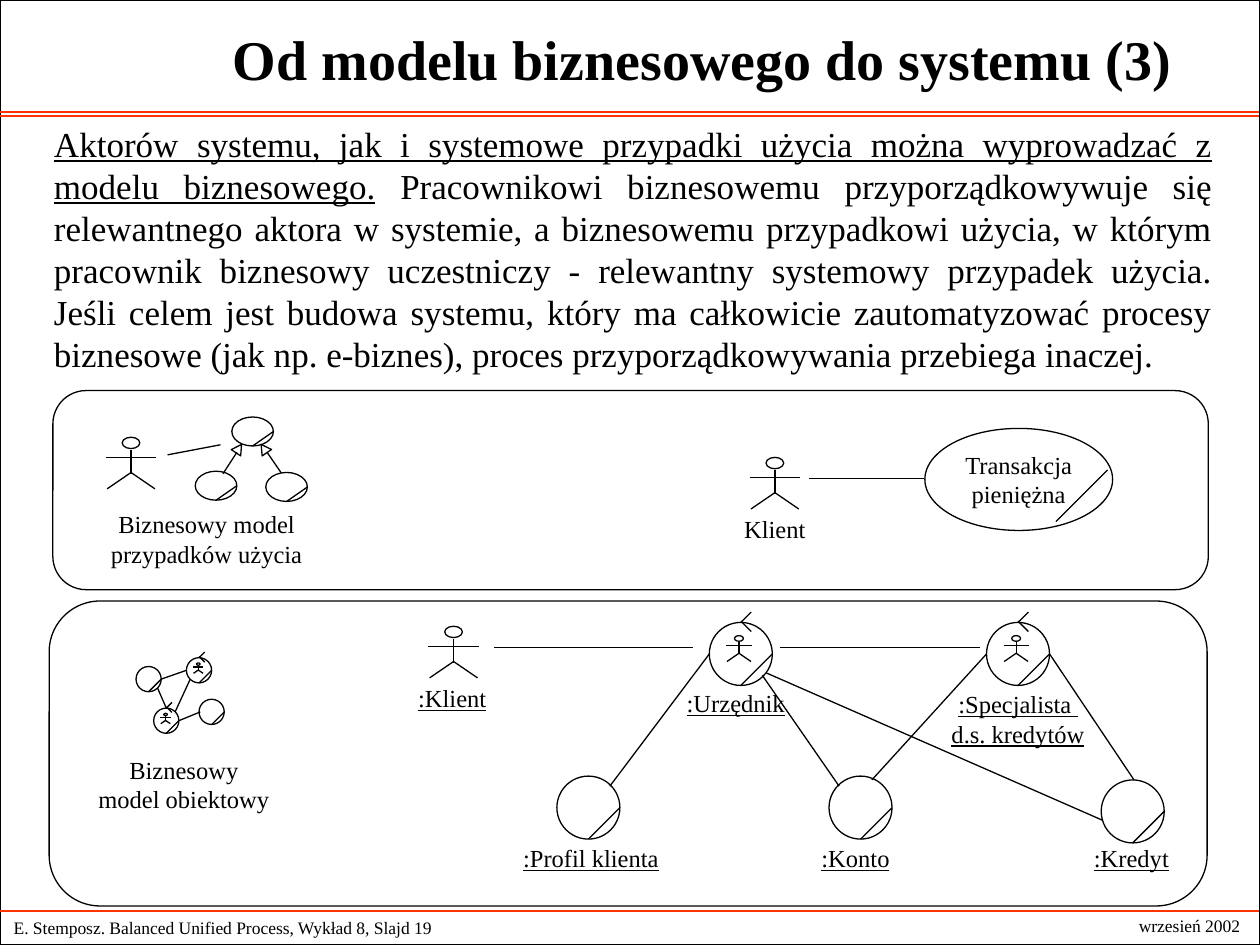
"""Build the slide on moving from a business model to a system."""
from pptx import Presentation
from pptx.dml.color import RGBColor
from pptx.enum.shapes import MSO_CONNECTOR, MSO_SHAPE
from pptx.enum.text import MSO_ANCHOR, PP_ALIGN
from pptx.oxml import parse_xml
from pptx.util import Emu, Pt

SCALE = 9144
FONT = "Times New Roman"
INK = {"black": "000000", "white": "FFFFFF", "red": "FF3300"}
NS = "http://schemas.openxmlformats.org/drawingml/2006/main"
LEFT, MID, FULL = PP_ALIGN.LEFT, PP_ALIGN.CENTER, PP_ALIGN.JUSTIFY

deck = Presentation()
deck.slide_width, deck.slide_height = Emu(1000 * SCALE), Emu(750 * SCALE)
slide = deck.slides.add_slide(deck.slide_layouts[6])
shapes = slide.shapes


def draw(kind, box, fill=None, turn=0):
    item = shapes.add_shape(kind, *[Emu(round(v * SCALE)) for v in box])
    item.shadow.inherit = False
    item.rotation = turn
    item.line.color.rgb = RGBColor.from_string(INK["black"])
    item.line.width = Pt(0.75)
    if fill:
        item.fill.solid()
        item.fill.fore_color.rgb = RGBColor.from_string(INK[fill])
    else:
        item.fill.background()
    return item


def write(item, rows, size, align=MID, wrap=False, bold=False, top=False):
    frame = item.text_frame
    frame.word_wrap = wrap
    frame.vertical_anchor = MSO_ANCHOR.TOP if top else MSO_ANCHOR.MIDDLE
    for i, row in enumerate(rows):
        para = frame.add_paragraph() if i else frame.paragraphs[0]
        para.alignment = align
        for text, under in row:
            run = para.add_run()
            run.text = text
            font = run.font
            font.name, font.size = FONT, Pt(size)
            font.bold, font.underline = bold, under
            font.color.rgb = RGBColor.from_string(INK["black"])


draw(MSO_SHAPE.RECTANGLE, (0, 0, 1000, 750), "white")
for frame in [(42, 310, 917, 158), (39, 477, 919, 242)]:
    draw(MSO_SHAPE.ROUNDED_RECTANGLE, frame, "white")

lines = [(-1, y, 999, y, "red") for y in (89, 92, 723)]
links = [
    (642, 380, 733, 380), (133, 361, 175, 353),
    (188, 359, 177, 376), (212, 359, 223, 375), (838, 414, 879, 373),
    (125, 546, 132, 562), (128, 539, 148, 532),
    (151, 539, 139, 565), (142, 572, 159, 565),
    (563, 519, 484, 624), (605, 536, 666, 624), (608, 534, 875, 651),
    (783, 519, 692, 619), (833, 519, 900, 619),
    (392, 514, 550, 514), (619, 514, 778, 514),
]
lines += [(*link, "black") for link in links]

cases = [(184, 331, 33, 23), (155, 374, 33, 23), (211, 375, 33, 23)]
items = [(x, y, 20, 20) for x, y in [(108, 529), (158, 555)]]
items += [(x, y, 50, 50) for x, y in [(442, 616), (658, 616), (874, 619)]]
roles = [(148, 522, 20, 20), (122, 562, 20, 20)]
roles += [(563, 494, 50, 50), (783, 494, 50, 50)]
for x, y, w, h in cases + items + roles:
    draw(MSO_SHAPE.OVAL, (x, y, w, h))
    lines.append((x + w / 2, y + h, x + w, y + h / 2, "black"))

men = [(615, 363, 1), (104, 347, 1), (360, 497, 1)]
for x, y, w, h in roles:
    men.append((x + 0.47 * w, y + 0.21 * w, w / 100))
    mid, step = x + w / 2, 2 + w / 8
    lines.append((mid, y, mid + step, y - step, "black"))
    lines.append((mid, y - 1, mid + step, y - 1 + step, "black"))

for x, y, s in men:
    draw(MSO_SHAPE.OVAL, (x - 7 * s, y, 14 * s, 9 * s))
    limbs = [(0, 10, 0, 29), (-20, 16, 20, 16),
             (0, 28, 19, 41), (0, 28, -19, 41)]
    for a, b, c, d in limbs:
        lines.append((x + a * s, y + b * s, x + c * s, y + d * s, "black"))

for x, turn in [(185, 33.6), (205, 325.6)]:
    draw(MSO_SHAPE.ISOSCELES_TRIANGLE, (x, 352, 9, 8), "white", turn)

for *ends, tint in lines:
    line = shapes.add_connector(
        MSO_CONNECTOR.STRAIGHT, *[Emu(round(v * SCALE)) for v in ends])
    line.line.color.rgb = RGBColor.from_string(INK[tint])
    line.line.width = Pt(0.75)
    line._element.spPr.append(parse_xml(f'<a:effectLst xmlns:a="{NS}"/>'))

deal = draw(MSO_SHAPE.OVAL, (734, 340, 149, 81))
write(deal, [[("Transakcja", False)], [("pieniężna", False)]], 14)

labels = [
    (615, 403, ["Klient"], False),
    (164, 399, ["Biznesowy model", "przypadków użycia"], False),
    (146, 594, ["Biznesowy", "model obiektowy"], False),
    (359, 537, [":Klient"], True),
    (584, 541, [":Urzędnik"], True),
    (808, 542, [":Specjalista ", "d.s. kredytów"], True),
    (469, 664, [":Profil klienta"], True),
    (679, 664, [":Konto"], True),
    (898, 664, [":Kredyt"], True),
]
notes = [((x - 90, y, 180, 11 + 23 * len(rows)),
          [[(row, under)] for row in rows], 14, {})
         for x, y, rows, under in labels]
lead = ("Aktorów systemu, jak i systemowe przypadki użycia można "
        "wyprowadzać z modelu biznesowego.")
rest = (" Pracownikowi biznesowemu przyporządkowywuje się relewantnego "
        "aktora w systemie, a biznesowemu przypadkowi użycia, w którym "
        "pracownik biznesowy uczestniczy - relewantny systemowy przypadek "
        "użycia. Jeśli celem jest budowa systemu, który ma całkowicie "
        "zautomatyzować procesy biznesowe (jak np. e-biznes), proces "
        "przyporządkowywania przebiega inaczej.")
notes += [
    ((116, 0, 883, 92), [[("Od modelu biznesowego do systemu (3)", False)]],
     32, {"wrap": True, "bold": True}),
    ((33, 92, 939, 210), [[(lead, True), (rest, False)]],
     20, {"align": FULL, "wrap": True, "top": True}),
    ((1, 723, 448, 27),
     [[("E. Stemposz. Balanced Unified Process, Wykład 8, Slajd 19", False)]],
     10, {"align": LEFT, "wrap": True}),
    ((892, 721, 104, 27), [[("wrzesień 2002", False)]], 10, {}),
]
for box, rows, size, style in notes:
    item = shapes.add_textbox(*[Emu(v * SCALE) for v in box])
    write(item, rows, size, **style)

deck.save("out.pptx")
